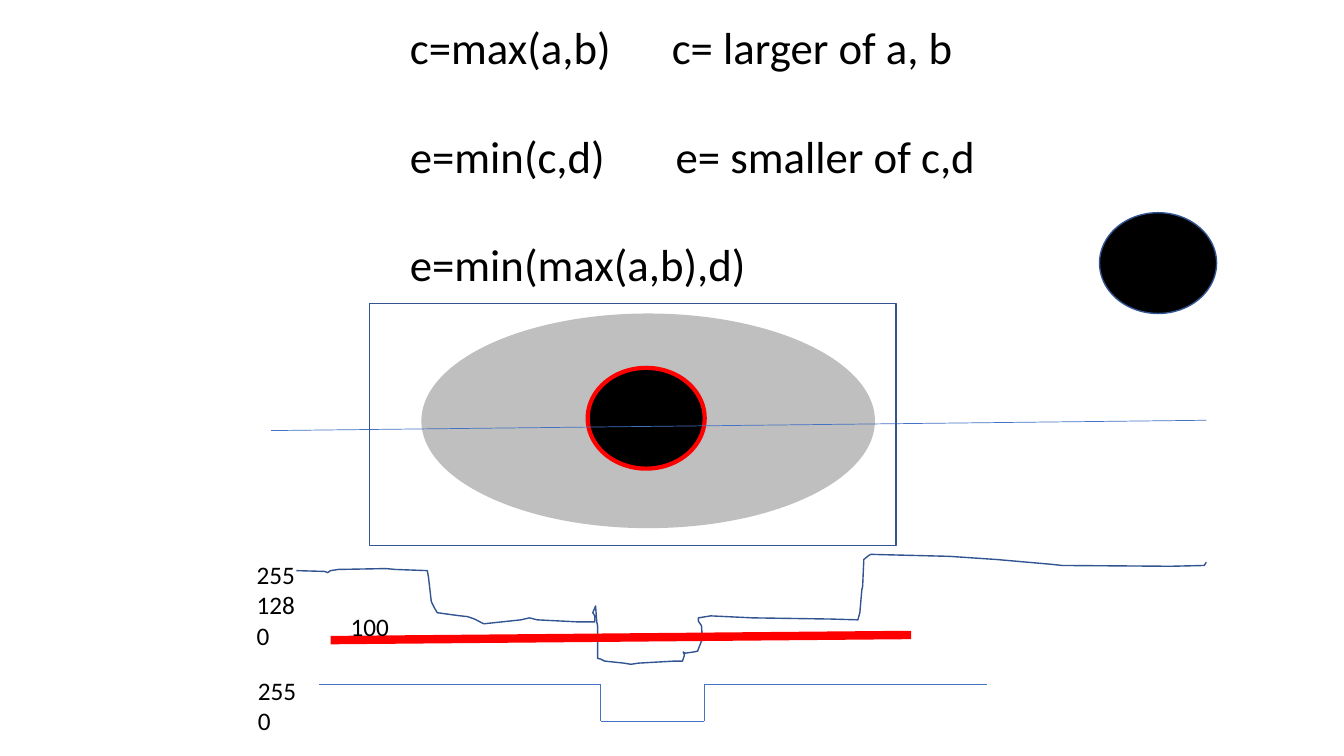
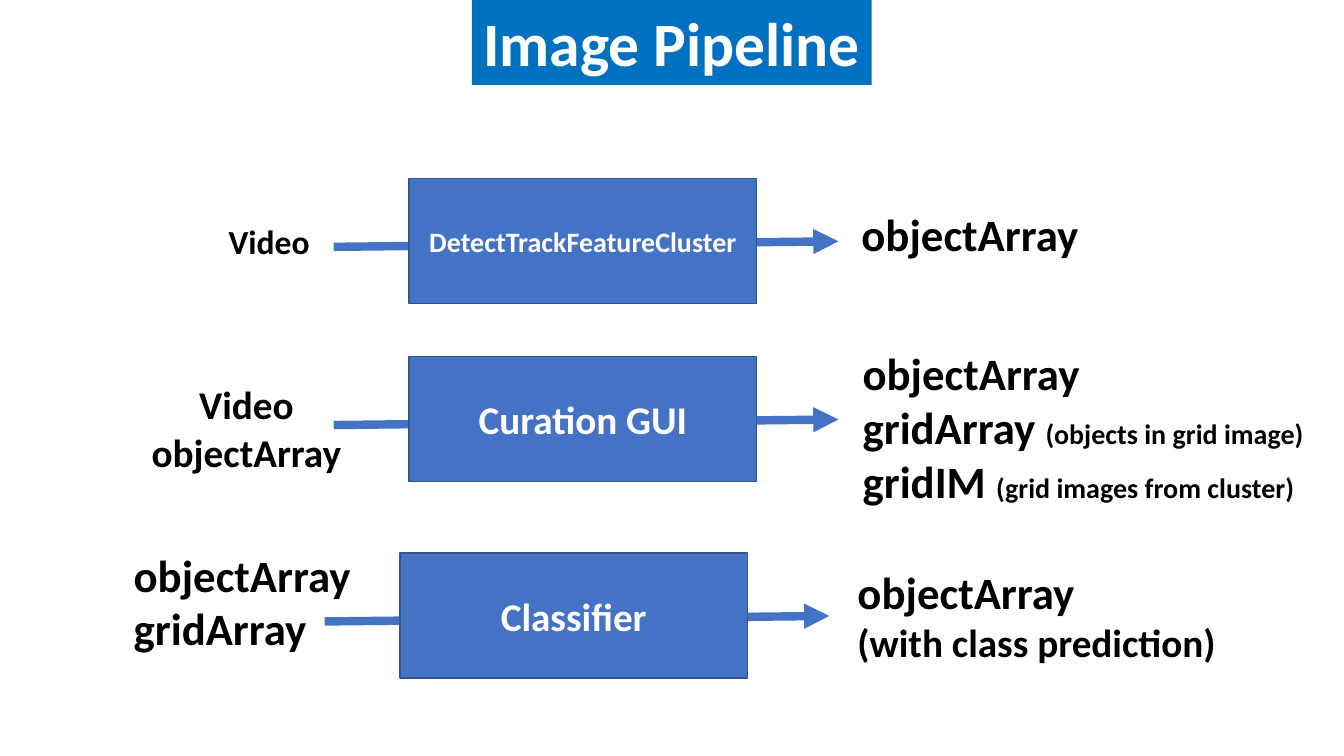
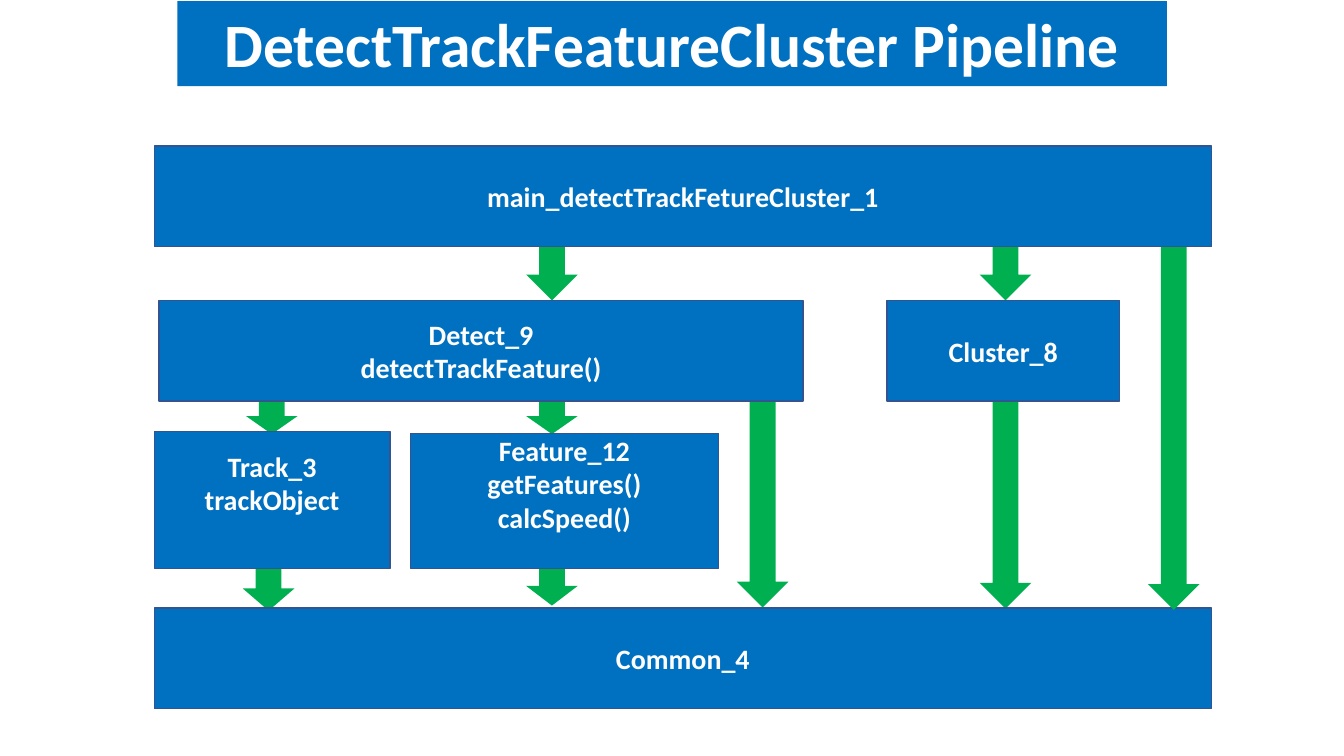
from dataclasses import dataclass

from lxml import etree
from pptx import Presentation
from pptx.dml.color import RGBColor
from pptx.enum.shapes import MSO_CONNECTOR, MSO_SHAPE
from pptx.enum.text import MSO_ANCHOR, PP_ALIGN
from pptx.oxml.ns import qn
from pptx.util import Cm, Pt

RECT, OVAL, DOWN = MSO_SHAPE.RECTANGLE, MSO_SHAPE.OVAL, MSO_SHAPE.DOWN_ARROW
STRAIGHT = MSO_CONNECTOR.STRAIGHT
LEFT, CENTER = PP_ALIGN.LEFT, PP_ALIGN.CENTER
TOP, MIDDLE = MSO_ANCHOR.TOP, MSO_ANCHOR.MIDDLE


@dataclass(frozen=True)
class Theme:
    font: str = "Calibri"
    black: str = "000000"
    white: str = "FFFFFF"
    gray: str = "BFBFBF"
    red: str = "FF0000"
    green: str = "00B050"
    blue: str = "4472C4"
    banner: str = "0070C0"
    outline: str = "325491"
    title: int = 44
    large: int = 32
    medium: int = 28
    body: int = 24
    small: int = 20
    label: int = 18


T = Theme()


class Deck:
    def __init__(self):
        self.prs = Presentation()
        self.prs.slide_width, self.prs.slide_height = Cm(33.87), Cm(19.05)
        self.s = None

    def slide(self):
        self.s = self.prs.slides.add_slide(self.prs.slide_layouts[6])

    def style(self, sp, fill=None, line=None, width=1):
        sp.shadow.inherit = False
        if fill:
            sp.fill.solid()
            sp.fill.fore_color.rgb = RGBColor.from_string(fill)
        else:
            sp.fill.background()
        if line:
            sp.line.color.rgb = RGBColor.from_string(line)
            sp.line.width = Pt(width)
        else:
            sp.line.fill.background()

    def shape(self, kind, x, y, w, h, fill=None, line=None, width=1):
        sp = self.s.shapes.add_shape(kind, Cm(x), Cm(y), Cm(w), Cm(h))
        self.style(sp, fill, line, width)
        return sp

    def set_text(self, sp, paras, size, color, bold=False, align=LEFT,
                 anchor=TOP, gap=0, tabs=()):
        """Each paragraph is a string or a tuple of (text, size) runs."""
        tf = sp.text_frame
        tf.word_wrap = True
        tf.vertical_anchor = anchor
        for i, item in enumerate(paras):
            p = tf.paragraphs[0] if i == 0 else tf.add_paragraph()
            p.alignment = align
            if gap and i:
                p.space_before = Pt(gap)
            if i < len(tabs):
                tab_list = etree.SubElement(p._p.get_or_add_pPr(), qn("a:tabLst"))
                etree.SubElement(tab_list, qn("a:tab"), pos=str(Cm(tabs[i])), algn="l")
            runs = ((item, size),) if isinstance(item, str) else item
            fonts = []
            for text, run_size in runs:
                r = p.add_run()
                r.text = text
                fonts.append((r.font, run_size))
            if len(runs) == 1:
                fonts = [(p.font, runs[0][1])]
            for font, font_size in fonts:
                font.name, font.size, font.bold = T.font, Pt(font_size), bold
                font.color.rgb = RGBColor.from_string(color)

    def text(self, x, y, w, h, paras, size, **style):
        sp = self.s.shapes.add_textbox(Cm(x), Cm(y), Cm(w), Cm(h))
        self.set_text(sp, paras, size, T.black, **style)

    def box(self, x, y, w, h, paras, size, fill, lift=0):
        sp = self.shape(RECT, x, y, w, h, fill, T.outline)
        self.set_text(sp, paras, size, T.white, True, CENTER, MIDDLE)
        if lift:
            sp.text_frame.margin_top, sp.text_frame.margin_bottom = 0, Cm(lift)

    def title(self, x, y, w, text):
        sp = self.shape(RECT, x, y, w, 2.14, T.banner)
        self.set_text(sp, [text], T.title, T.white, True, CENTER)

    def line(self, x1, y1, x2, y2, color, width, arrow=False):
        c = self.s.shapes.add_connector(STRAIGHT, Cm(x1), Cm(y1), Cm(x2), Cm(y2))
        c.line.color.rgb = RGBColor.from_string(color)
        c.line.width = Pt(width)
        if arrow:
            etree.SubElement(c.line._get_or_add_ln(), qn("a:tailEnd"), type="triangle")
        etree.SubElement(c._element.spPr, qn("a:effectLst"))

    def curve(self, points, color):
        """Points are in hundredths of a centimetre."""
        fb = self.s.shapes.build_freeform(*points[0], scale=Cm(0.01))
        fb.add_line_segments(points[1:], close=False)
        self.style(fb.convert_to_shape(), line=color)

    def down_arrow(self, x, y, h):
        self.shape(DOWN, x, y, 1.3, h, T.green)


PROFILE = [
    (747, 1438), (818, 1440), (826, 1443), (833, 1438), (853, 1435), (963, 1433),
    (975, 1433), (996, 1435), (1077, 1438), (1080, 1455), (1087, 1516), (1095, 1532),
    (1102, 1544), (1138, 1549), (1161, 1552), (1179, 1554), (1196, 1560), (1219, 1572),
    (1313, 1562), (1334, 1557), (1354, 1562), (1453, 1567), (1499, 1567), (1499, 1552),
    (1494, 1544), (1496, 1539), (1501, 1527), (1504, 1567), (1506, 1577), (1506, 1659),
    (1514, 1661), (1524, 1666), (1572, 1671), (1590, 1674), (1610, 1671), (1699, 1666),
    (1720, 1666), (1725, 1651), (1722, 1643), (1727, 1646), (1748, 1643), (1758, 1641),
    (1768, 1615), (1770, 1610), (1768, 1577), (1760, 1565), (1760, 1557), (1791, 1552),
    (1897, 1557), (2093, 1560), (2162, 1562), (2167, 1544), (2172, 1486), (2174, 1478),
    (2177, 1410), (2189, 1400), (2195, 1397), (2393, 1402), (2512, 1410), (2649, 1422),
    (2677, 1425), (2951, 1427), (3035, 1425), (3040, 1417),
]


def threshold_slide(d):
    d.slide()
    d.text(10.08, 0.38, 15.5, 7.09,
           ["c=max(a,b)\tc= larger of a, b", "e=min(c,d)\te= smaller of c,d",
            "e=min(max(a,b),d)"], T.large, gap=39, tabs=(6.6, 6.7))

    # Eye and scan line
    d.shape(OVAL, 10.62, 7.9, 11.43, 5.41, T.gray)
    d.shape(OVAL, 14.81, 9.27, 2.95, 2.54, T.black, T.red, 3)
    d.line(6.83, 10.85, 30.4, 10.59, T.blue, 0.5)

    # Intensity profile and threshold
    d.curve(PROFILE, T.outline)
    d.text(6.22, 13.97, 1.7, 2.57, ["255", "128", "0"], T.label)
    d.line(8.33, 16.13, 22.96, 16, T.red, 6)
    d.text(6.25, 16.89, 1.7, 1.8, ["255", "0"], T.label)
    d.text(8.59, 15.27, 1.7, 1.02, ["100"], T.label)

    # Binary profile
    high, low = 17.25, 18.17
    steps = [(8.05, high), (15.14, high), (15.14, low),
             (17.75, low), (17.75, high), (24.87, high)]
    for start, end in zip(steps, steps[1:]):
        d.line(*start, *end, T.blue, 0.5)

    d.shape(OVAL, 27.71, 5.36, 2.95, 2.54, T.black, T.outline)
    d.shape(RECT, 9.32, 7.65, 13.26, 6.1, line=T.outline)


def image_pipeline_slide(d):
    d.slide()
    # Stages, each on its own arrow
    for x, y, name, size in ((10.31, 4.5, "DetectTrackFeatureCluster", T.small),
                             (10.31, 8.99, "Curation GUI", T.medium),
                             (10.08, 13.94, "Classifier", T.medium)):
        d.line(x - 1.9, y + 1.72, x + 10.82, y + 1.58, T.blue, 6, arrow=True)
        d.box(x, y, 8.76, 3.15, [name], size, T.blue)

    # Inputs
    d.text(5.51, 5.44, 2.8, 1.27, ["Video"], T.body, bold=True)
    d.text(3.43, 9.47, 5.56, 2.64, ["Video", "objectArray"], T.medium,
           bold=True, align=CENTER)
    d.text(3.12, 13.67, 6.5, 3, ["objectArray", "gridArray"], T.large, bold=True)

    # Outputs
    d.text(21.46, 5.08, 7.34, 1.63, ["objectArray"], T.large, bold=True)
    d.text(21.49, 8.59, 12.38, 4.37,
           ["objectArray",
            (("gridArray ", T.large), ("(objects in grid image)", T.small)),
            (("gridIM ", T.large), ("(grid images from cluster)", T.small))],
           T.large, bold=True)
    d.text(21.36, 14.1, 12.4, 2.82,
           ["objectArray", (("(with class prediction)", T.medium),)],
           T.large, bold=True)
    d.title(11.89, 0, 10.08, "Image Pipeline")


def cluster_pipeline_slide(d):
    d.slide()
    # Call arrows behind the boxes
    for x, y, h in ((24.69, 5.03, 2.54), (13.26, 5.79, 1.78), (6.2, 10.03, 0.91),
                    (13.26, 10.03, 0.91), (24.69, 7.9, 7.44), (18.57, 10.03, 5.28),
                    (13.26, 14.27, 0.99), (6.12, 14.27, 1.12)):
        d.down_arrow(x, y, h)
    d.title(4.47, 0.03, 24.94, "DetectTrackFeatureCluster Pipeline")

    # Modules
    for x, y, w, h, lines, lift in (
            (22.35, 7.57, 5.87, 2.54, ["Cluster_8"], 0),
            (4.01, 7.57, 16.23, 2.54, ["Detect_9", "detectTrackFeature()"], 0),
            (3.89, 10.87, 5.94, 3.45, ["Track_3", "trackObject"], 0.86),
            (3.89, 15.32, 26.64, 2.54, ["Common_4"], 0),
            (10.34, 10.92, 7.77, 3.4,
             ["Feature_12", "getFeatures()", "calcSpeed()"], 0.86)):
        d.box(x, y, w, h, lines, T.small, T.banner, lift)

    # Main module covers the start of the long arrow
    d.down_arrow(28.93, 6.02, 9.35)
    d.box(3.89, 3.68, 26.64, 2.54, ["main_detectTrackFetureCluster_1"],
          T.small, T.banner)


def main():
    d = Deck()
    threshold_slide(d)
    image_pipeline_slide(d)
    cluster_pipeline_slide(d)
    d.prs.save("out.pptx")


if __name__ == "__main__":
    main()
